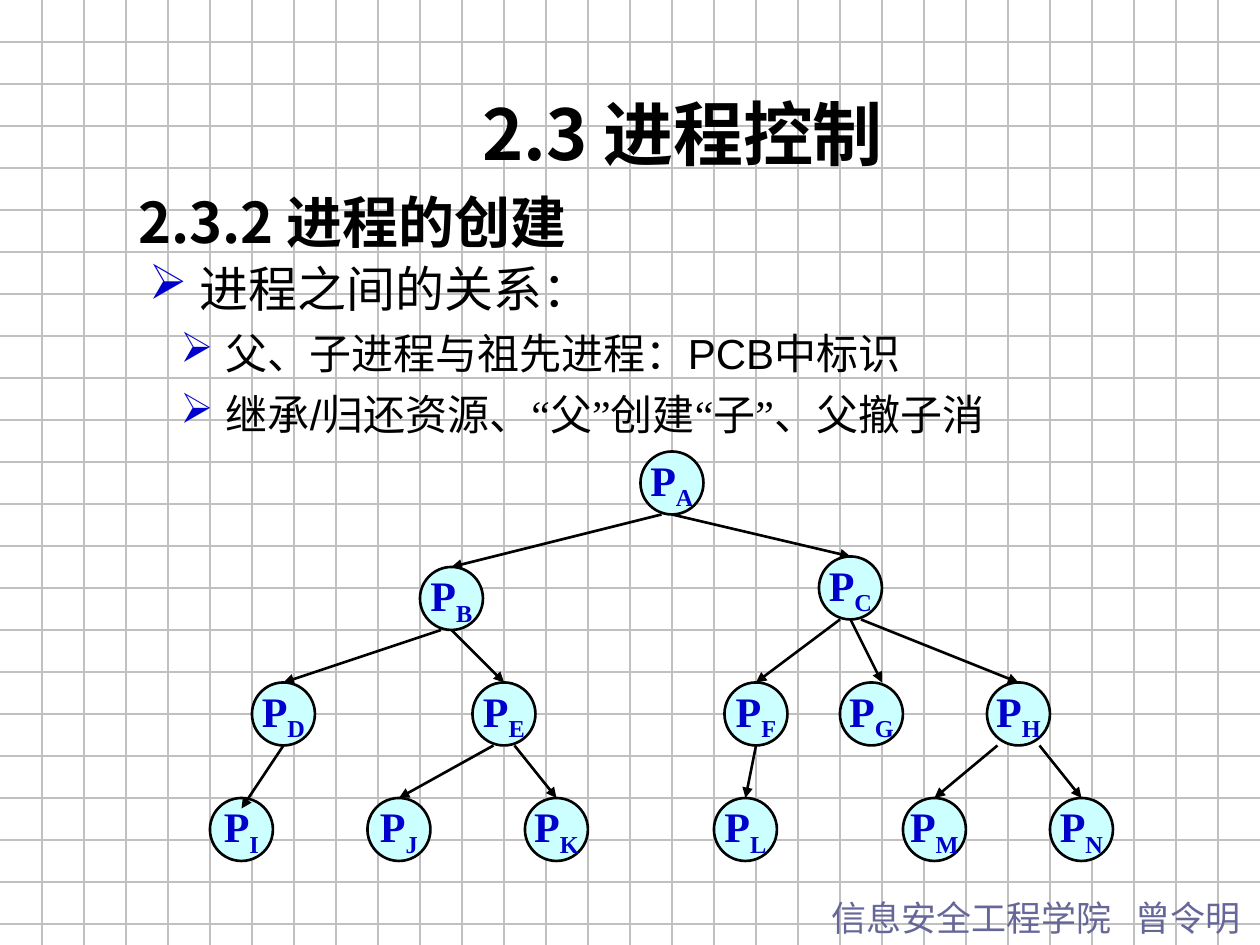
from itertools import groupby

from lxml.etree import SubElement
from pptx import Presentation
from pptx.dml.color import RGBColor
from pptx.enum.shapes import MSO_CONNECTOR, MSO_SHAPE
from pptx.enum.text import MSO_ANCHOR, MSO_AUTO_SIZE, PP_ALIGN
from pptx.oxml.ns import qn
from pptx.util import Pt

WIDTH, HEIGHT, GRID, SIZE = 720, 540, 24, 36

COLORS = {
    "grid": "C0C0C0",
    "ink": "000000",
    "blue": "0000CC",
    "node": "CCFFFF",
    "foot": "666699",
}

SANS, SERIF = "Arial", "Times New Roman"
NOTO_SC, NOTO_JP = "Noto Sans CJK SC", "Noto Sans CJK JP"

# Left and top of each process
NODES = {
    "A": (366, 258), "B": (240, 324), "C": (468, 318),
    "D": (144, 390), "E": (270, 390), "F": (414, 390),
    "G": (480, 390), "H": (564, 390), "I": (120, 456),
    "J": (210, 456), "K": (300, 456), "L": (408, 456),
    "M": (516, 456), "N": (600, 456),
}

# Parent, child, and shift of the start from the parent's bottom centre
EDGES = [
    ("A", "B", -6), ("A", "C", 0), ("B", "D", -6), ("B", "E", 0),
    ("C", "F", -6), ("C", "G", 0), ("C", "H", 6), ("D", "I", 0),
    ("E", "J", -6), ("E", "K", 6), ("F", "L", 0),
    ("H", "M", -12), ("H", "N", 12),
]

# Shift of the arrow tip from the child's top centre
TIPS = {"G": (6, 0), "I": (0, 6)}

# Text, size, left indent, hanging indent
POINTS = [
    ("进程之间的关系：", 28, 29, 29),
    ("父、子进程与祖先进程：PCB中标识", 24, 44, 26),
    ("继承/归还资源、“父”创建“子”、父撤子消", 24, 44, 26),
]


def color(key):
    return RGBColor.from_string(COLORS[key])


def set_east(props, face):
    """Use the face for East Asian letters too."""
    SubElement(props, qn("a:ea")).set("typeface", face)


def set_font(para, face, size, key, bold=False):
    font = para.font
    font.size, font.bold = Pt(size), bold
    font.color.rgb = color(key)
    font.name = face
    set_east(para._p.pPr.find(qn("a:defRPr")), face)


def add_line(slide, start, end, key, width, arrow=False):
    line = slide.shapes.add_connector(
        MSO_CONNECTOR.STRAIGHT, *[Pt(n) for n in (*start, *end)])
    line.line.color.rgb = color(key)
    line.line.width = Pt(width)
    if arrow:
        SubElement(line.line._get_or_add_ln(), qn("a:tailEnd")).set("type", "triangle")
    SubElement(line._element.spPr, qn("a:effectLst"))


def add_grid(slide):
    for y in range(GRID, HEIGHT, GRID):
        add_line(slide, (0, y), (WIDTH, y), "grid", 0.75)
    for x in range(GRID, WIDTH, GRID):
        add_line(slide, (x, 0), (x, HEIGHT), "grid", 0.75)


def add_box(slide, *area):
    frame = slide.shapes.add_textbox(*[Pt(n) for n in area]).text_frame
    frame.word_wrap = True
    frame.auto_size = MSO_AUTO_SIZE.SHAPE_TO_FIT_TEXT
    return frame


def add_title(slide, area, text, face, size, align, space=1):
    para = add_box(slide, *area).paragraphs[0]
    para.text = text
    para.alignment = align
    para.line_spacing = space
    set_font(para, face, size, "ink", True)


def add_foot(slide):
    para = add_box(slide, 468, 509, 252, 32).paragraphs[0]
    para.text = "信息安全工程学院\t曾令明"
    tabs = SubElement(para._p.get_or_add_pPr(), qn("a:tabLst"))
    SubElement(tabs, qn("a:tab"), pos=str(Pt(174)), algn="l")
    set_font(para, NOTO_JP, 20, "foot")


def set_bullet(para, left, hang):
    props = para._p.get_or_add_pPr()
    props.set("marL", str(Pt(left)))
    props.set("indent", str(Pt(-hang)))
    tint = SubElement(props, qn("a:buClr"))
    SubElement(tint, qn("a:srgbClr")).set("val", COLORS["blue"])
    SubElement(props, qn("a:buChar")).set("char", "➢")


def add_points(slide):
    frame = add_box(slide, 78, 144, 606, 111)
    for i, (text, size, left, hang) in enumerate(POINTS):
        para = frame.add_paragraph() if i else frame.paragraphs[0]
        if i:
            para.level = 1
            para.space_before = Pt(6)
        set_bullet(para, left, hang)
        set_font(para, SANS, size, "ink")
        for quote, part in groupby(text, lambda c: c in "“”"):
            run = para.add_run()
            run.text = "".join(part)
            if quote:
                run.font.name = SERIF
                set_east(run._r.get_or_add_rPr(), SERIF)


def add_node(slide, name):
    left, top = NODES[name]
    node = slide.shapes.add_shape(
        MSO_SHAPE.OVAL, Pt(left), Pt(top), Pt(SIZE), Pt(SIZE))
    node.shadow.inherit = False
    node.fill.solid()
    node.fill.fore_color.rgb = color("node")
    node.line.color.rgb = color("ink")
    node.line.width = Pt(1.5)
    frame = node.text_frame
    frame.word_wrap = False
    frame.vertical_anchor = MSO_ANCHOR.MIDDLE
    para = frame.paragraphs[0]
    para.alignment = PP_ALIGN.CENTER
    set_font(para, SERIF, 24, "blue", True)
    para.add_run().text = "P"
    sub = para.add_run()
    sub.text = name
    sub._r.get_or_add_rPr().set("baseline", "-25000")


def add_edge(slide, parent, child, shift):
    """Join a parent's bottom to its child's top."""
    x, y = NODES[parent]
    left, top = NODES[child]
    right, down = TIPS.get(child, (0, 0))
    mid = SIZE / 2
    add_line(slide, (x + mid + shift, y + SIZE),
             (left + mid + right, top + down), "ink", 1.5, True)


def main():
    deck = Presentation()
    deck.slide_width, deck.slide_height = Pt(WIDTH), Pt(HEIGHT)
    slide = deck.slides.add_slide(deck.slide_layouts[6])
    add_grid(slide)
    add_foot(slide)
    add_title(slide, (72, 96, 618, 53), "2.3.2 进程的创建", NOTO_SC, 32,
              PP_ALIGN.LEFT, 1.2)
    add_title(slide, (102, 48, 576, 55), "2.3 进程控制", NOTO_JP, 40,
              PP_ALIGN.CENTER)
    add_points(slide)
    for name in NODES:
        add_node(slide, name)
    for edge in EDGES:
        add_edge(slide, *edge)
    deck.save("out.pptx")


if __name__ == "__main__":
    main()
